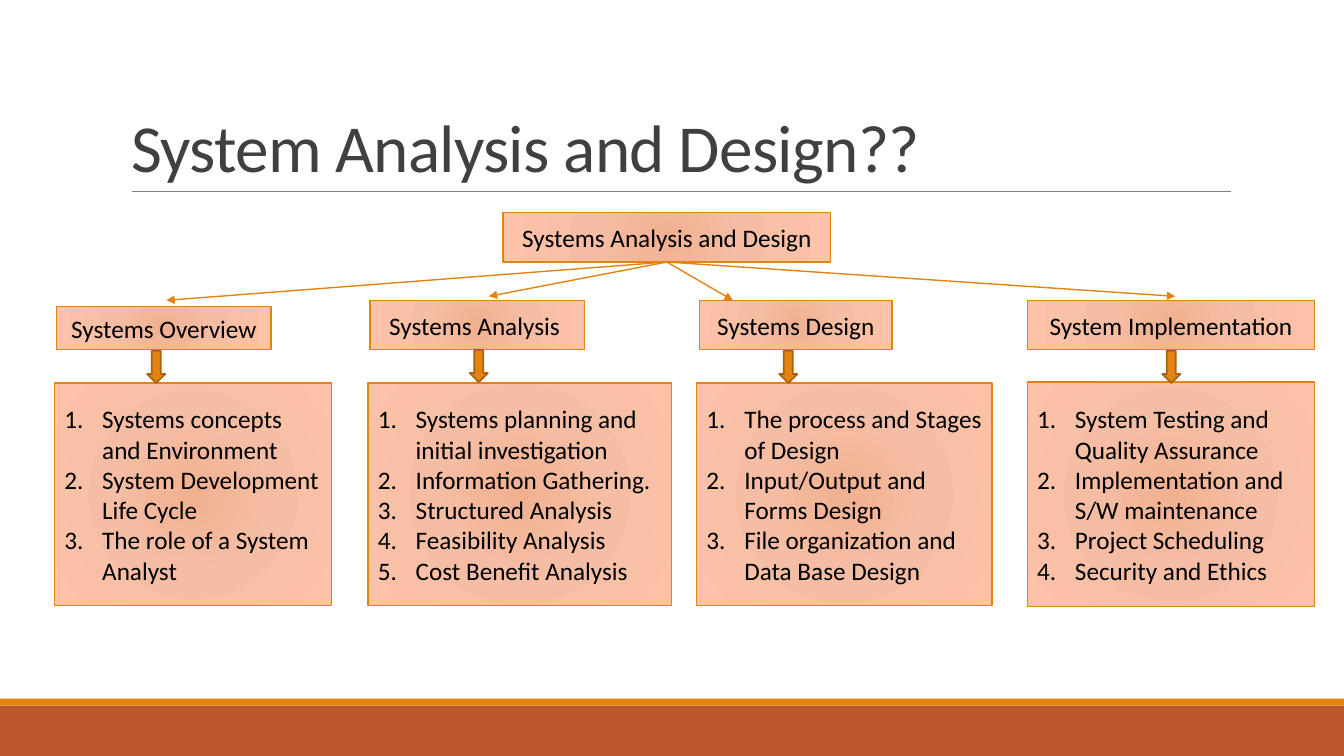
from dataclasses import dataclass

from lxml import etree
from pptx import Presentation
from pptx.dml.color import RGBColor
from pptx.enum.shapes import MSO_CONNECTOR, MSO_SHAPE
from pptx.enum.text import MSO_ANCHOR, MSO_AUTO_SIZE, PP_ALIGN
from pptx.oxml import parse_xml
from pptx.oxml.ns import nsdecls, qn
from pptx.util import Inches, Pt

RECT, DOWN = MSO_SHAPE.RECTANGLE, MSO_SHAPE.DOWN_ARROW
STRAIGHT = MSO_CONNECTOR.STRAIGHT
LEFT, CENTER = PP_ALIGN.LEFT, PP_ALIGN.CENTER
MIDDLE, BOTTOM = MSO_ANCHOR.MIDDLE, MSO_ANCHOR.BOTTOM
FONT = "Calibri"
WIDE, HIGH = Inches(13.333), Inches(7.5)
COLORS = {
    "rust": "BD582C", "orange": "E48312", "brown": "A9610D",
    "gray": "808080", "title": "404040", "text": "000000",
}
GLOW = {0: "F0B191", 45: "F5BEA4", 100: "FDC3A8"}


@dataclass
class Box:
    """An area in percent of the slide's width and height."""
    x: float
    y: float
    w: float
    h: float

    def place(self) -> tuple[int, int, int, int]:
        return across(self.x), down(self.y), across(self.w), down(self.h)


@dataclass
class Branch:
    name: str
    head: Box
    body: Box
    tip: tuple[float, float]
    stem: tuple[float, float]
    items: list[str]


ROOT = Box(37.43, 28.13, 24.38, 6.53)
BRANCHES = [
    Branch("Systems Overview", Box(4.2, 40.53, 15.98, 5.74),
           Box(4.05, 50.67, 20.63, 29.46), (12.38, 39.73), (10.95, 46.4),
           ["Systems concepts and Environment",
            "System Development Life Cycle",
            "The role of a System Analyst"]),
    Branch("Systems Analysis ", Box(27.53, 39.73, 15.98, 6.54),
           Box(27.38, 50.67, 22.58, 29.46), (36.38, 39.2), (34.95, 46.27),
           ["Systems planning and initial investigation",
            "Information Gathering.", "Structured Analysis",
            "Feasibility Analysis", "Cost Benefit Analysis"]),
    Branch("Systems Design", Box(52.05, 39.73, 14.33, 6.54),
           Box(51.83, 50.67, 21.98, 29.46), (54.53, 39.73), (57.98, 46.4),
           ["The process and Stages of Design",
            "Input/Output and Forms Design",
            "File organization and Data Base Design"]),
    Branch("System Implementation", Box(76.43, 39.73, 21.38, 6.54),
           Box(76.43, 50.53, 21.38, 29.74), (87.45, 39.2), (86.48, 46.4),
           ["System Testing and Quality Assurance",
            "Implementation and S/W maintenance",
            "Project Scheduling", "Security and Ethics"]),
]


def across(share: float) -> int:
    return round(WIDE * share / 100)


def down(share: float) -> int:
    return round(HIGH * share / 100)


def color(name: str) -> RGBColor:
    return RGBColor.from_string(COLORS[name])


def add_run(para, text: str, size: float, tint: str):
    run = para.add_run()
    run.text = text
    run.font.name, run.font.size = FONT, Pt(size)
    run.font.color.rgb = color(tint)
    return run


def add_solid(slide, kind, box: Box, fill: str, edge: str = ""):
    shape = slide.shapes.add_shape(kind, *box.place())
    shape.shadow.inherit = False
    shape.fill.solid()
    shape.fill.fore_color.rgb = color(fill)
    if edge:
        shape.line.color.rgb = color(edge)
        shape.line.width = Pt(1.25)
    else:
        shape.line.fill.background()
    return shape


def add_glow(shape) -> None:
    """Swap the solid fill for a radial gradient."""
    stops = "".join(
        f'<a:gs pos="{pos * 1000}"><a:srgbClr val="{tint}"/></a:gs>'
        for pos, tint in GLOW.items())
    sides = " ".join(f'{side}="100000"' for side in "ltrb")
    grad = parse_xml(
        f'<a:gradFill {nsdecls("a")} rotWithShape="1"><a:gsLst>{stops}</a:gsLst>'
        f'<a:path path="circle"><a:fillToRect {sides}/></a:path></a:gradFill>')
    props = shape.element.spPr
    props.replace(props.find(qn("a:solidFill")), grad)


def add_panel(slide, box: Box, lines: list[str], listed: bool = False) -> None:
    shape = add_solid(slide, RECT, box, "orange", "orange")
    shape.line.width = Pt(1)
    add_glow(shape)
    frame = shape.text_frame
    frame.word_wrap = True
    frame.vertical_anchor = MIDDLE
    for num, line in enumerate(lines):
        para = frame.add_paragraph() if num else frame.paragraphs[0]
        para.alignment = LEFT if listed else CENTER
        if listed:
            props = para._p.get_or_add_pPr()
            props.set("marL", str(Inches(0.375)))
            props.set("indent", str(-Inches(0.375)))
            etree.SubElement(props, qn("a:buFont"), typeface="+mj-lt")
            etree.SubElement(props, qn("a:buAutoNum"), type="arabicPeriod")
        add_run(para, line, 18, "text")


def add_line(slide, start: tuple[float, float], end: tuple[float, float],
             tint: str, width: float, arrow: bool = False) -> None:
    line = slide.shapes.add_connector(
        STRAIGHT, across(start[0]), down(start[1]), across(end[0]), down(end[1]))
    line.line.color.rgb = color(tint)
    line.line.width = Pt(width)
    if arrow:
        etree.SubElement(line.line._get_or_add_ln(), qn("a:tailEnd"), type="triangle")
    etree.SubElement(line._element.spPr, qn("a:effectLst"))


def add_title(slide, text: str) -> None:
    title = slide.shapes.title
    title.left, title.top, title.width, title.height = Box(9, 4.13, 82.5, 21.2).place()
    frame = title.text_frame
    frame.word_wrap = True
    frame.auto_size = MSO_AUTO_SIZE.NONE
    frame.vertical_anchor = BOTTOM
    para = frame.paragraphs[0]
    para.alignment, para.line_spacing = LEFT, 0.85
    run = add_run(para, text, 48, "title")
    run.font._element.set("spc", "-50")


def main() -> None:
    deck = Presentation()
    deck.slide_width, deck.slide_height = WIDE, HIGH
    slide = deck.slides.add_slide(deck.slide_layouts[5])

    # Title, rule and footer bands
    add_title(slide, "System Analysis and Design??")
    add_solid(slide, RECT, Box(0, 93.33, 100, 6.67), "rust")
    add_solid(slide, RECT, Box(0, 92.4, 100, 0.93), "orange")
    add_line(slide, (9.83, 25.33), (91.58, 25.33), "gray", 0.5)

    # Root and its branches
    add_panel(slide, ROOT, ["Systems Analysis and Design"])
    start = (ROOT.x + ROOT.w / 2, ROOT.y + ROOT.h)
    for branch in BRANCHES:
        add_panel(slide, branch.head, [branch.name])
        add_panel(slide, branch.body, branch.items, listed=True)
        add_line(slide, start, branch.tip, "orange", 1, arrow=True)
        add_solid(slide, DOWN, Box(*branch.stem, 1.35, 4.27), "orange", "brown")

    deck.save("out.pptx")


if __name__ == "__main__":
    main()
